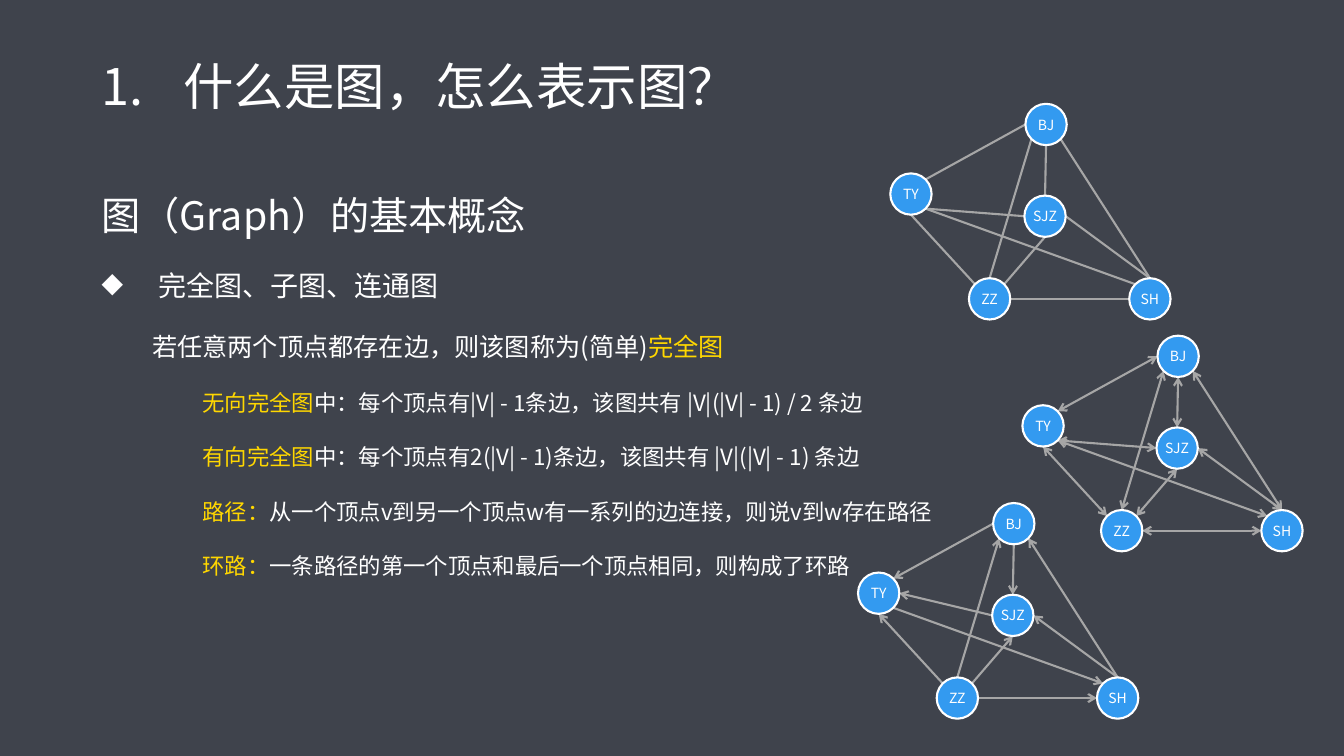
from dataclasses import dataclass
from lxml import etree
from pptx import Presentation
from pptx.dml.color import RGBColor
from pptx.enum.shapes import MSO_CONNECTOR, MSO_SHAPE
from pptx.enum.text import MSO_ANCHOR, MSO_AUTO_SIZE, PP_ALIGN
from pptx.oxml.ns import qn
from pptx.util import Inches, Pt

STRAIGHT, OVAL = MSO_CONNECTOR.STRAIGHT, MSO_SHAPE.OVAL
LEFT, CENTER = PP_ALIGN.LEFT, PP_ALIGN.CENTER
MIDDLE = MSO_ANCHOR.MIDDLE


@dataclass(frozen=True)
class Theme:
    font: str = "Noto Sans CJK SC"
    background: str = "3F434C"
    text: str = "FFFFFF"
    accent: str = "FFD700"
    node: str = "339AF0"
    edge: str = "A6A6A6"
    title_size: int = 36
    heading_size: int = 28
    topic_size: int = 20
    definition_size: int = 18
    detail_size: int = 16
    node_size: int = 10
    stroke: float = 1.5


THEME = Theme()

# Content: (plain or highlighted runs), size, left margin, first-line indent, bullet
TITLE = "什么是图，怎么表示图？"
DETAILS = [
    ("无向完全图", "中：每个顶点有|V| - 1条边，该图共有 |V|(|V| - 1) / 2 条边"),
    ("有向完全图", "中：每个顶点有2(|V| - 1)条边，该图共有 |V|(|V| - 1) 条边"),
    ("路径：", "从一个顶点v到另一个顶点w有一系列的边连接，则说v到w存在路径"),
    ("环路：", "一条路径的第一个顶点和最后一个顶点相同，则构成了环路"),
]
CONCEPTS = [
    ([("图（Graph）的基本概念", THEME.text)], THEME.heading_size, 0, 0, None),
    ([("完全图、子图、连通图", THEME.text)], THEME.topic_size, 0.56, -0.56, "◆"),
    ([("若任意两个顶点都存在边，则该图称为(简单)", THEME.text), ("完全图", THEME.accent)],
     THEME.definition_size, 0.5, 0, None),
] + [
    ([(term, THEME.accent), (meaning, THEME.text)], THEME.detail_size, 1, 0, None)
    for term, meaning in DETAILS
]

# City positions inside a graph, in inches, and the side each edge leaves or enters
CITIES = {"TY": (0, 0.69), "BJ": (1.34, 0), "SJZ": (1.33, 0.91),
          "ZZ": (0.78, 1.73), "SH": (2.37, 1.73)}
EDGES = [
    ("BJ", "left", "TY", "top right"),
    ("SJZ", "left", "TY", "bottom right"),
    ("SJZ", "top", "BJ", "bottom"),
    ("ZZ", "top right", "SJZ", "bottom"),
    ("ZZ", "top left", "TY", "bottom"),
    ("SH", "top", "SJZ", "right"),
    ("SH", "top", "BJ", "bottom right"),
    ("ZZ", "right", "SH", "left"),
    ("ZZ", "top", "BJ", "bottom left"),
    ("TY", "bottom right", "SH", "top left"),
]
ONE_WAY_CHANGES = {
    EDGES[1]: ("SJZ", "left", "TY", "right"),
    EDGES[2]: ("BJ", "bottom", "SJZ", "top"),
}
ONE_WAY_EDGES = [ONE_WAY_CHANGES.get(edge, edge) for edge in EDGES]
GRAPHS = [  # origin, edges, arrowheads
    ((8.83, 1.03), EDGES, ()),
    ((10.14, 3.33), EDGES, ("headEnd", "tailEnd")),
    ((8.51, 4.99), ONE_WAY_EDGES, ("tailEnd",)),
]

# Geometry
SLIDE_W, SLIDE_H = 13.33, 7.5
TEXT_LEFT, TEXT_W = 0.91, 11.5
NODE = 0.41
RADIUS = NODE / 2
DIAGONAL = 0.5 ** 0.5
DIRECTIONS = {"left": (-1, 0), "right": (1, 0), "top": (0, -1), "bottom": (0, 1)}


def write(paragraph, runs, size, align=LEFT, margin=0, indent=0, bullet=None,
          number=None, spacing=None, before=0):
    """Fill a paragraph with (text, colour) runs."""
    props = paragraph._p.get_or_add_pPr()
    props.set("marL", str(Inches(margin)))
    props.set("indent", str(Inches(indent)))
    if number:
        etree.SubElement(props, qn("a:buFont"), typeface="+mj-lt")
        etree.SubElement(props, qn("a:buAutoNum"), type=number)
    elif bullet:
        etree.SubElement(props, qn("a:buChar"), char=bullet)
    else:
        etree.SubElement(props, qn("a:buNone"))
    paragraph.alignment = align
    paragraph.space_before = Pt(before)
    if spacing:
        paragraph.line_spacing = spacing
    for text, color in runs:
        run = paragraph.add_run()
        run.text = text
        run.font.size = Pt(size)
        run.font.color.rgb = RGBColor.from_string(color)
        run.font.name = THEME.font
        etree.SubElement(run._r.get_or_add_rPr(), qn("a:ea"), typeface=THEME.font)


def rim_point(center, side):
    dx = dy = 0
    for word in side.split():
        dx += DIRECTIONS[word][0]
        dy += DIRECTIONS[word][1]
    reach = RADIUS * (DIAGONAL if dx and dy else 1)
    return Inches(center[0] + dx * reach), Inches(center[1] + dy * reach)


def draw_edge(shapes, start, end, arrowheads):
    edge = shapes.add_connector(STRAIGHT, *start, *end)
    edge.line.color.rgb = RGBColor.from_string(THEME.edge)
    edge.line.width = Pt(THEME.stroke)
    for arrowhead in arrowheads:
        etree.SubElement(edge.line._get_or_add_ln(), qn(f"a:{arrowhead}"), type="arrow")
    etree.SubElement(edge._element.spPr, qn("a:effectLst"))


def draw_node(shapes, city, center):
    node = shapes.add_shape(OVAL, Inches(center[0] - RADIUS), Inches(center[1] - RADIUS),
                            Inches(NODE), Inches(NODE))
    node.shadow.inherit = False
    node.fill.solid()
    node.fill.fore_color.rgb = RGBColor.from_string(THEME.node)
    node.line.color.rgb = RGBColor.from_string(THEME.text)
    node.line.width = Pt(THEME.stroke)
    frame = node.text_frame
    frame.margin_left = frame.margin_right = frame.margin_top = frame.margin_bottom = 0
    frame.vertical_anchor = MIDDLE
    frame.word_wrap = False
    write(frame.paragraphs[0], [(city, THEME.text)], THEME.node_size, align=CENTER)


def draw_graph(slide, origin, edges, arrowheads):
    shapes = slide.shapes.add_group_shape().shapes
    centers = {city: (origin[0] + x + RADIUS, origin[1] + y + RADIUS)
               for city, (x, y) in CITIES.items()}
    for source, leaving, target, entering in edges:
        draw_edge(shapes, rim_point(centers[source], leaving),
                  rim_point(centers[target], entering), arrowheads)
    for city, center in centers.items():
        draw_node(shapes, city, center)


def main():
    prs = Presentation()
    prs.slide_width, prs.slide_height = Inches(SLIDE_W), Inches(SLIDE_H)
    slide = prs.slides.add_slide(prs.slide_layouts.get_by_name("Title Only"))
    slide.background.fill.solid()
    slide.background.fill.fore_color.rgb = RGBColor.from_string(THEME.background)

    # Title
    title = slide.shapes.title
    title.left, title.top = Inches(TEXT_LEFT), Inches(0.29)
    title.width, title.height = Inches(TEXT_W), Inches(1.18)
    title.text_frame.auto_size = MSO_AUTO_SIZE.NONE
    title.text_frame.vertical_anchor = MIDDLE
    write(title.text_frame.paragraphs[0], [(TITLE, THEME.text)], THEME.title_size,
          margin=0.81, indent=-0.81, number="arabicPeriod", spacing=0.9)

    # Concepts
    concepts = slide.shapes.add_textbox(Inches(TEXT_LEFT), Inches(1.47),
                                        Inches(TEXT_W), Inches(5.62)).text_frame
    concepts.word_wrap = True
    concepts.margin_top = Inches(0.19)
    for i, (runs, size, margin, indent, bullet) in enumerate(CONCEPTS):
        paragraph = concepts.add_paragraph() if i else concepts.paragraphs[0]
        write(paragraph, runs, size, margin=margin, indent=indent, bullet=bullet,
              spacing=1.5, before=10 if i else 0)

    # Graphs
    for origin, edges, arrowheads in GRAPHS:
        draw_graph(slide, origin, edges, arrowheads)

    prs.save("out.pptx")


if __name__ == "__main__":
    main()
